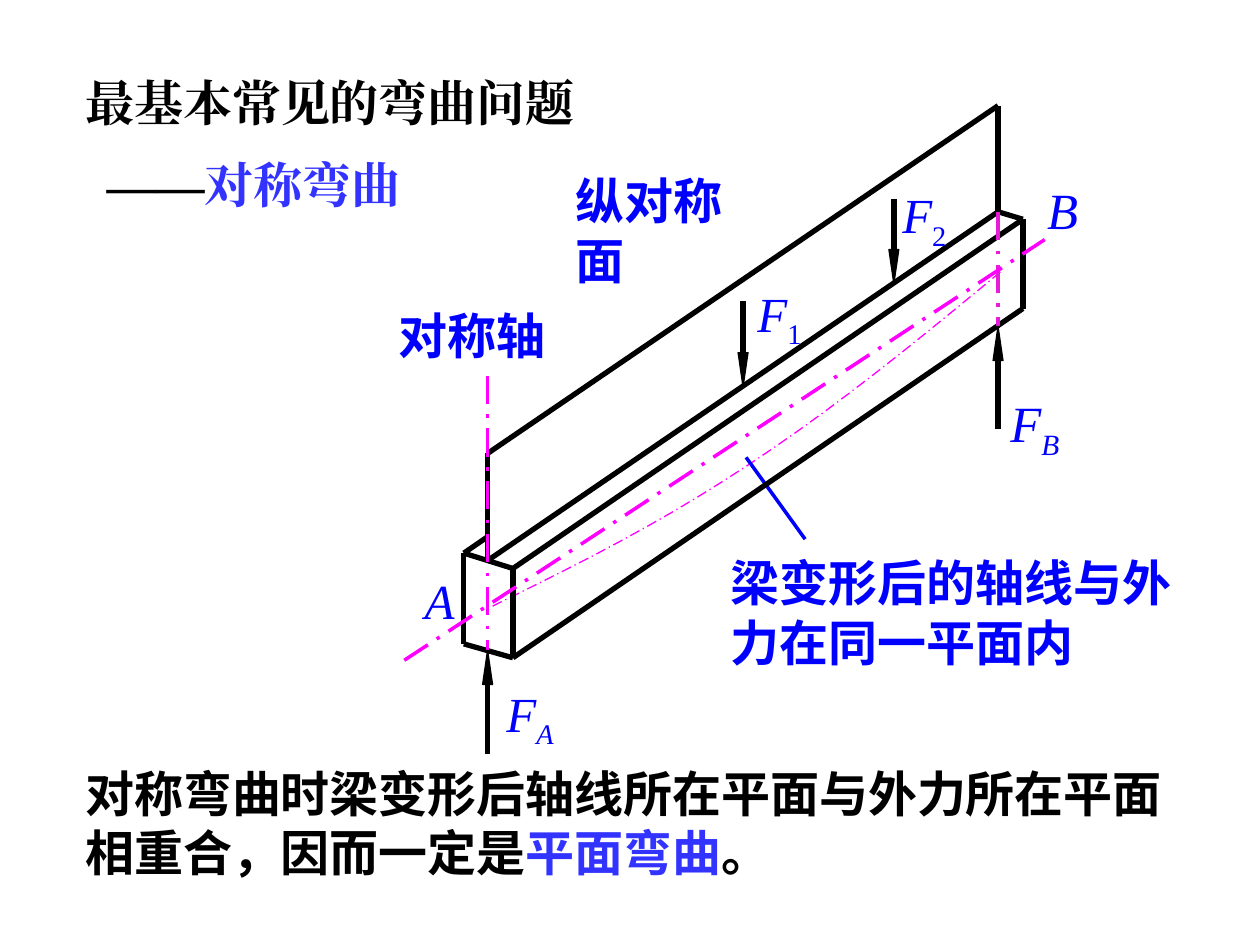
from dataclasses import dataclass
from math import pi, sin

from lxml.etree import SubElement
from pptx import Presentation
from pptx.dml.color import RGBColor as Rgb
from pptx.enum.dml import MSO_LINE as Dash
from pptx.enum.shapes import MSO_CONNECTOR as Conn
from pptx.enum.text import MSO_ANCHOR as Anchor, MSO_AUTO_SIZE as Auto, PP_ALIGN as Align
from pptx.oxml.ns import qn
from pptx.util import Cm, Pt

Point = tuple[float, float]


@dataclass(frozen=True)
class Theme:
    black: str = "000000"
    blue: str = "0000FF"
    accent: str = "3333FF"
    magenta: str = "FF00FF"
    violet: str = "E51BD7"
    serif: str = "Times New Roman"
    cjk: str = "Noto Sans CJK SC"
    text_size: float = 28
    end_size: float = 29
    cjk_pitch: float = 34
    edge: float = 3
    hairline: float = 0


T = Theme()


@dataclass(frozen=True)
class Run:
    text: str
    color: str = T.blue
    font: str = T.cjk
    size: float = T.text_size
    bold: bool = True
    italic: bool = False
    sub: bool = False


@dataclass(frozen=True)
class Label:
    box: tuple[float, float, float, float]
    runs: list[Run]
    wrap: bool = False
    inset: Point = (0, 0)
    pitch: float | None = None


@dataclass(frozen=True)
class Stroke:
    start: Point
    end: Point
    color: str = T.black
    width: float = T.edge
    dash: Dash | None = None


@dataclass(frozen=True)
class Force:
    x: float
    tail: float
    tip: float


def symbol(letter: str, index: str = "", size: float = T.text_size) -> list[Run]:
    """Italic letter with an optional subscript; digits stay upright."""
    runs = [Run(letter, font=T.serif, size=size, bold=False, italic=True)]
    if index:
        runs.append(Run(index, font=T.serif, size=size, bold=False,
                        italic=index.isalpha(), sub=True))
    return runs


def fill_text(sp, label: Label) -> None:
    sp.left, sp.top, sp.width, sp.height = map(Cm, label.box)
    tf = sp.text_frame
    dx, dy = map(Cm, label.inset)
    frame = dict(word_wrap=label.wrap, auto_size=Auto.SHAPE_TO_FIT_TEXT,
                 vertical_anchor=Anchor.TOP, margin_left=dx, margin_right=dx,
                 margin_top=dy, margin_bottom=dy)
    for name, value in frame.items():
        setattr(tf, name, value)
    p = tf.paragraphs[0]
    p.alignment = Align.LEFT
    if label.pitch:
        p.line_spacing = Pt(label.pitch)
    for run in label.runs:
        r = p.add_run()
        r.text = run.text
        font = dict(name=run.font, size=Pt(run.size), bold=run.bold, italic=run.italic)
        for name, value in font.items():
            setattr(r.font, name, value)
        r.font.color.rgb = Rgb.from_string(run.color)
        props = r._r.get_or_add_rPr()
        SubElement(props, qn("a:ea")).set("typeface", run.font)
        if run.sub:
            props.set("baseline", "-25000")


def add_label(s, label: Label) -> None:
    fill_text(s.shapes.add_textbox(*map(Cm, label.box)), label)


def style_line(line, color: str, width: float, dash: Dash | None = None) -> None:
    line.color.rgb = Rgb.from_string(color)
    line.width = Pt(width)
    if dash:
        line.dash_style = dash


def add_stroke(s, stroke: Stroke) -> None:
    c = s.shapes.add_connector(Conn.STRAIGHT, *map(Cm, stroke.start + stroke.end))
    style_line(c.line, stroke.color, stroke.width, stroke.dash)
    SubElement(c._element.spPr, qn("a:effectLst"))


def add_outline(s, points: list[Point], close: bool):
    pts = [(Cm(x), Cm(y)) for x, y in points]
    builder = s.shapes.build_freeform(*pts[0], scale=1.0)
    builder.add_line_segments(pts[1:], close=close)
    sp = builder.convert_to_shape()
    sp.shadow.inherit = False
    return sp


def add_force(s, force: Force, length: float = 0.69, half: float = 0.1) -> None:
    base = force.tip + (length if force.tail > force.tip else -length)
    add_stroke(s, Stroke((force.x, force.tail), (force.x, base)))
    head = add_outline(s, [(force.x - half, base), (force.x, force.tip),
                           (force.x + half, base)], close=True)
    head.fill.solid()
    head.fill.fore_color.rgb = Rgb.from_string(T.black)
    style_line(head.line, T.black, T.hairline)


def add_deflected_axis(s, start: Point, end: Point, sag: float, steps: int = 20) -> None:
    (x0, y0), (x1, y1) = start, end
    points = [(x0 + (x1 - x0) * t, y0 + (y1 - y0) * t + sag * sin(pi * t))
              for t in (i / steps for i in range(steps + 1))]
    curve = add_outline(s, points, close=False)
    curve.fill.background()
    style_line(curve.line, T.magenta, T.hairline, Dash.LONG_DASH_DOT)


PAD = (0.25, 0.13)
TITLE = Label((1.47, 1.32, 10.8, 1.45), [Run("最基本常见的弯曲问题", T.black, T.serif)],
              True, PAD, T.cjk_pitch)
LABELS = [
    Label((1.9, 2.97, 6.78, 1.45),
          [Run("——", T.black, T.serif), Run("对称弯曲", T.accent, T.serif)],
          True, PAD, T.cjk_pitch),
    Label((1.47, 15.24, 22.66, 2.64),
          [Run("对称弯曲时梁变形后轴线所在平面与外力所在平面相重合，因而一定是", T.black),
           Run("平面弯曲", T.accent), Run("。", T.black)], True, PAD, T.cjk_pitch),
    Label((14.73, 11.13, 8.97, 2.36), [Run("梁变形后的轴线与外力在同一平面内")],
          True, pitch=T.cjk_pitch),
    Label((8.03, 6.15, 2.97, 1.19), [Run("对称轴")], pitch=T.cjk_pitch),
    Label((11.61, 3.43, 3.94, 1.19), [Run("纵对称面")], pitch=T.cjk_pitch),
    Label((8.56, 11.51, 0.61, 1.19), symbol("A")),
    Label((21.11, 3.61, 0.64, 1.22), symbol("B", size=T.end_size)),
    Label((10.21, 13.77, 1.09, 1.35), symbol("F", "A")),
    Label((15.27, 5.72, 0.89, 1.35), symbol("F", "1")),
    Label((18.19, 3.73, 0.89, 1.4), symbol("F", "2")),
    Label((20.12, 7.77, 1.63, 1.65), symbol("F", "B", T.end_size), inset=PAD),
]

# Corners of the beam and of its longitudinal symmetry plane
NEAR_TL, NEAR_TR, NEAR_BR, NEAR_BL = (9.35, 11.15), (10.34, 11.46), (10.34, 13.26), (9.35, 12.98)
FAR_TR, FAR_BR = (20.62, 4.42), (20.62, 6.22)
NEAR_MID, NEAR_PLANE = (9.83, 11.3), (9.83, 9.14)
FAR_MID, FAR_PLANE = (20.12, 4.27), (20.12, 2.13)
EDGES = [
    (NEAR_TL, (9.83, 10.82)), (NEAR_TL, NEAR_TR), (NEAR_TR, NEAR_BR),
    (NEAR_TL, NEAR_BL), (NEAR_BL, NEAR_BR), (NEAR_TR, FAR_TR),
    (FAR_TR, FAR_BR), (FAR_MID, FAR_TR), (NEAR_BR, FAR_BR),
    (NEAR_MID, NEAR_PLANE), (NEAR_PLANE, FAR_PLANE), (FAR_MID, FAR_PLANE),
    (NEAR_MID, FAR_MID),
]
AXES = [
    ((9.83, 7.57), (9.83, 13.11), T.magenta),
    (FAR_MID, (20.12, 6.58), T.violet),
    ((8.15, 13.31), (21.06, 4.83), T.magenta),
]
LEADER = Stroke((15.04, 9.22), (16.23, 10.87), T.blue, T.hairline)
FORCES = [Force(9.83, 15.19, 13.11), Force(20.12, 8.64, 6.58),
          Force(14.98, 6.07, 7.8), Force(18.02, 4.01, 5.72)]


def main() -> None:
    prs = Presentation()
    prs.slide_width, prs.slide_height = Cm(25.4), Cm(19.05)
    s = prs.slides.add_slide(prs.slide_layouts[5])
    fill_text(s.shapes.title, TITLE)
    add_deflected_axis(s, (9.93, 12.22), (20.22, 5.44), sag=0.55)
    add_stroke(s, LEADER)
    for start, end in EDGES:
        add_stroke(s, Stroke(start, end))
    for start, end, color in AXES:
        add_stroke(s, Stroke(start, end, color, T.hairline, Dash.LONG_DASH_DOT))
    for force in FORCES:
        add_force(s, force)
    for label in LABELS:
        add_label(s, label)
    prs.save("out.pptx")


if __name__ == "__main__":
    main()
